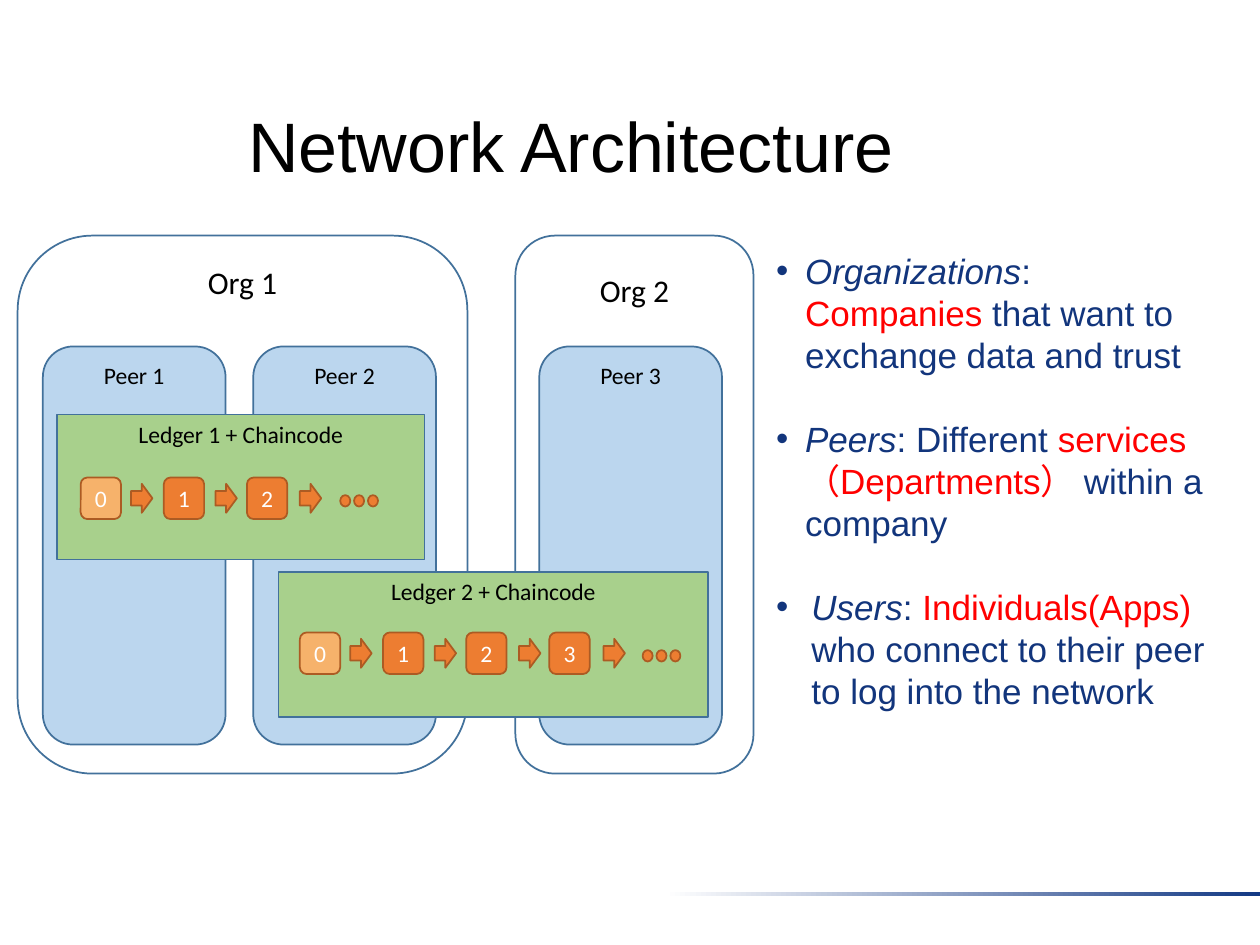
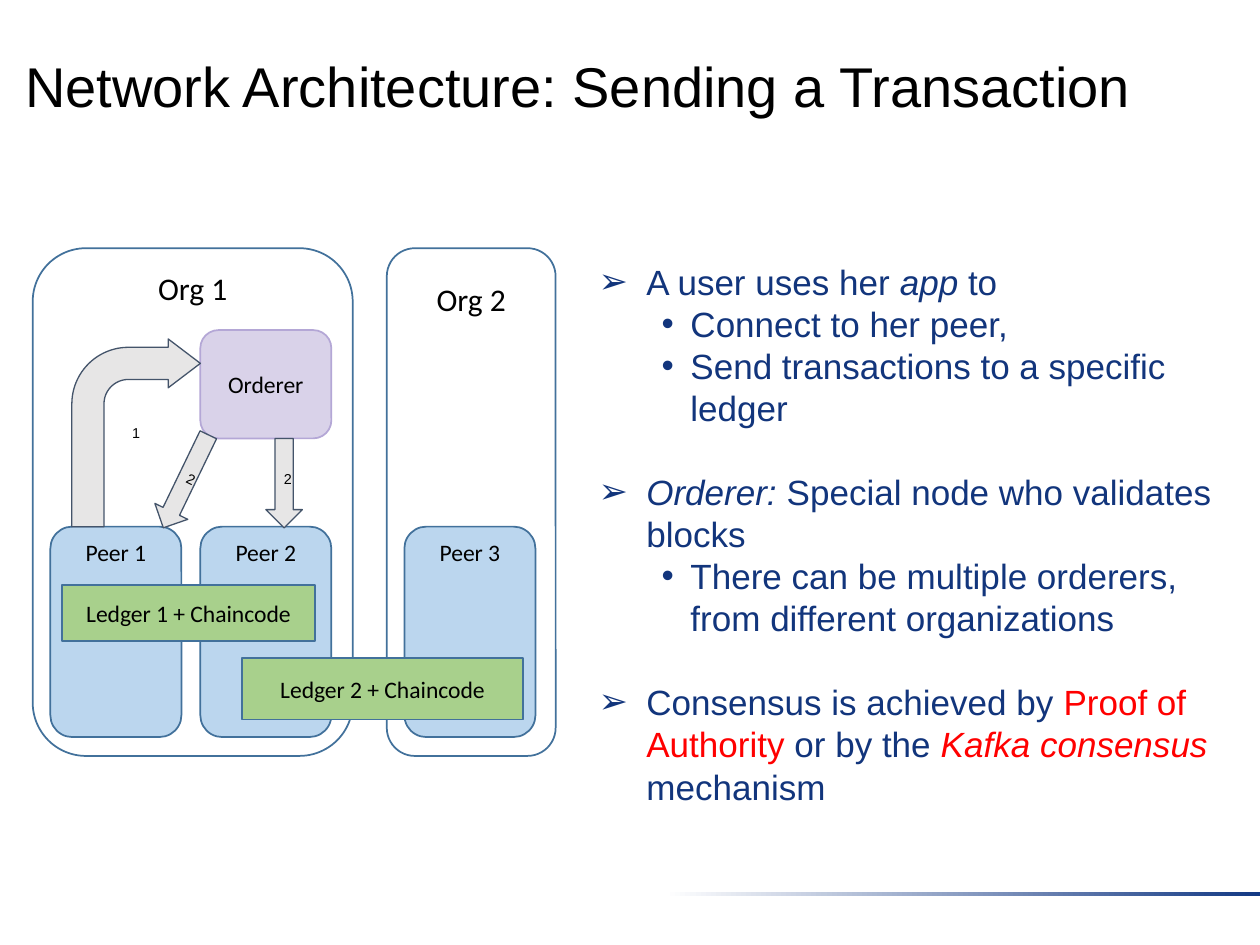
from lxml import etree
from pptx import Presentation
from pptx import util as u
from pptx.dml.color import RGBColor
from pptx.enum import shapes, text
from pptx.oxml.ns import qn

KIND = shapes.MSO_SHAPE
TOP, MID = text.MSO_ANCHOR.TOP, text.MSO_ANCHOR.MIDDLE
HUES = {
    "white": "FFFFFF", "black": "000000", "navy": "12357C", "red": "FF0000",
    "band": "133984", "edge": "42719B", "peer": "BBD6EE", "ledger": "A8D08C",
    "first": "F6B26B", "block": "ED7D31", "rust": "AC5B23", "arrow": "E7E6E6",
    "slate": "44546A", "order": "D9D2E9", "lilac": "B4A7D6",
}


def hue(name):
    return RGBColor.from_string(HUES[name])


def draw(slide, kind, at, fill=None, line=None, width=1):
    shape = slide.shapes.add_shape(kind, *map(u.Inches, at))
    shape.shadow.inherit = False
    if fill:
        shape.fill.solid()
        shape.fill.fore_color.rgb = hue(fill)
    else:
        shape.fill.background()
    if line:
        shape.line.color.rgb = hue(line)
        shape.line.width = u.Pt(width)
    else:
        shape.line.fill.background()
    return shape


def frame(shape, anchor=TOP, pad=0.07):
    body = shape.text_frame
    body.word_wrap = True
    body.vertical_anchor = anchor
    body.margin_left = body.margin_right = u.Inches(0.07)
    body.margin_top = body.margin_bottom = u.Inches(pad)
    return body


def style(para, face, size, color):
    para.font.name = face
    para.font.size = u.Pt(size)
    para.font.color.rgb = hue(color)


def label(shape, words, size=13.5, color="black", face="Calibri",
          anchor=TOP, pad=0.04, space=None):
    para = frame(shape, anchor, pad).paragraphs[0]
    para.text = words
    para.alignment = text.PP_ALIGN.CENTER
    para.line_spacing = space
    style(para, face, size, color)


def start(deck, words, at, size, space=None):
    slide = deck.slides.add_slide(deck.slide_layouts[6])
    band = draw(slide, KIND.RECTANGLE, (5.28, 7.08, 4.72, 0.03))
    band.fill.gradient()
    band.fill.gradient_angle = 0
    for stop, name in zip(band.fill.gradient_stops, ("white", "band")):
        stop.color.rgb = hue(name)
    title = draw(slide, KIND.RECTANGLE, at, "white")
    label(title, words, size, face="Arial", pad=0.07, space=space)
    return slide


def org(slide, words, at, space=None):
    box = draw(slide, KIND.ROUNDED_RECTANGLE, at, line="edge")
    label(box, words, 18, space=space)


def peers(slide, lefts, top, width, height):
    for count, left in enumerate(lefts, 1):
        box = draw(slide, KIND.ROUNDED_RECTANGLE, (left, top, width, height), "peer", "edge")
        label(box, f"Peer {count}")


def ledgers(slide, places, anchor=TOP):
    for count, at in enumerate(places, 1):
        box = draw(slide, KIND.RECTANGLE, at, "ledger", "edge")
        label(box, f"Ledger {count} + Chaincode", anchor=anchor)


def chain(slide, left, top, count):
    for i in range(count):
        fill = "block" if i else "first"
        block = draw(slide, KIND.ROUNDED_RECTANGLE,
                     (left + 0.66 * i, top, 0.32, 0.33), fill, "rust")
        label(block, str(i), color="white", anchor=MID)
        draw(slide, KIND.RIGHT_ARROW,
             (left + 0.4 + 0.67 * i, top + 0.05, 0.17, 0.23), "block", "rust")
    for i in range(3):
        draw(slide, KIND.OVAL,
             (left + 0.66 * count + 0.08 + 0.11 * i, top + 0.14, 0.08, 0.09), "block", "rust")


def arrow(slide, kind, at, words, turn=0):
    shape = draw(slide, kind, at, "arrow", "slate", 0.75)
    shape.rotation = turn
    label(shape, words, 8.2, face="Arial", anchor=MID, pad=0.07)
    return shape


def point(para, sign, left, hang, runs, level=0, gap=0):
    para.level = level
    para.alignment = text.PP_ALIGN.LEFT
    para.line_spacing = u.Pt(24)
    para.space_before = u.Pt(gap)
    props = para._p.get_or_add_pPr()
    props.set("marL", str(u.Inches(left)))
    props.set("indent", str(-u.Inches(hang)))
    etree.SubElement(props, qn("a:buFont")).set("typeface", "Arial")
    etree.SubElement(props, qn("a:buChar")).set("char", sign)
    style(para, "Arial", 20, "navy")
    for words, *marks in runs:
        run = para.add_run()
        run.text = words
        if "i" in marks:
            run.font.italic = True
        if "red" in marks:
            run.font.color.rgb = hue("red")


def points(shape, items):
    body = frame(shape)
    for i, item in enumerate(items):
        para = body.add_paragraph() if i else body.paragraphs[0]
        point(para, **item)


def network(deck):
    slide = start(deck, "Network Architecture", (0.06, 0.74, 8.94, 0.78), 40)
    org(slide, "Org 2", (4.09, 1.87, 1.89, 4.27), 1.5)
    org(slide, "Org 1", (0.14, 1.87, 3.57, 4.27))
    peers(slide, (0.34, 2.01, 4.28), 2.75, 1.45, 3.16)
    ledgers(slide, ((0.45, 3.29, 2.92, 1.15), (2.21, 4.54, 3.41, 1.15)))
    chain(slide, 0.64, 3.79, 3)
    chain(slide, 2.38, 5.02, 4)
    roles = (
        (0.23, 0, [("Organizations", "i"), (": ",), ("Companies ", "red"),
                   ("that want to exchange data and trust",)]),
        (0.23, 24, [("Peers", "i"), (": Different ",),
                    ("services（Departments） ", "red"), ("within a company",)]),
        (0.28, 24, [("Users", "i"), (": ",), ("Individuals(Apps) ", "red"),
                    ("who connect to their peer to log into the network",)]),
    )
    box = slide.shapes.add_textbox(*map(u.Inches, (6.09, 1.91, 3.6, 4.19)))
    points(box, [dict(sign="•", left=left, hang=left, gap=gap, runs=runs)
                 for left, gap, runs in roles])


def sending(deck):
    slide = start(deck, "Network Architecture: Sending a Transaction",
                  (0.12, 0.07, 8.94, 1.12), 32, 1.5)
    org(slide, "Org 2", (3.07, 1.97, 1.34, 4.03), 1.5)
    org(slide, "Org 1", (0.26, 1.97, 2.54, 4.03))
    peers(slide, (0.4, 1.59, 3.21), 4.18, 1.04, 1.67)
    ledgers(slide, ((0.49, 4.64, 2.01, 0.45), (1.92, 5.22, 2.23, 0.49)), MID)
    main = dict(sign="➢", left=0.38, hang=0.38)
    sub = dict(sign="•", left=0.73, hang=0.23, level=1)
    box = draw(slide, KIND.RECTANGLE, (4.68, 2, 5.02, 4.86), "white")
    points(box, [
        dict(main, runs=[("A user uses her ",), ("app", "i"), (" to",)]),
        dict(sub, runs=[("Connect to her peer,",)]),
        dict(sub, runs=[("Send transactions to a specific ledger",)]),
        dict(main, gap=24, runs=[("Orderer: ", "i"), ("Special node who validates blocks",)]),
        dict(sub, level=2,
             runs=[("There can be multiple orderers, from different organizations",)]),
        dict(main, gap=24, runs=[("Consensus is achieved by ",), ("Proof of Authority", "red"),
                                 (" or by the ",), ("Kafka consensus ", "red", "i"),
                                 ("mechanism",)]),
    ])
    node = draw(slide, KIND.ROUNDED_RECTANGLE, (1.59, 2.62, 1.04, 0.86), "order", "lilac")
    label(node, "Orderer", anchor=MID)
    bend = arrow(slide, KIND.BENT_ARROW, (0.57, 2.69, 1.02, 1.49), "1")
    for i, ratio in enumerate((0.25, 0.19, 0.25, 0.44)):
        bend.adjustments[i] = ratio
    arrow(slide, KIND.DOWN_ARROW, (2.11, 3.48, 0.29, 0.71), "2")
    arrow(slide, KIND.DOWN_ARROW, (1.33, 3.41, 0.29, 0.82), "2", 25.8)


def main():
    deck = Presentation()
    deck.slide_width, deck.slide_height = u.Inches(10), u.Inches(7.5)
    network(deck)
    sending(deck)
    deck.save("out.pptx")


if __name__ == "__main__":
    main()
